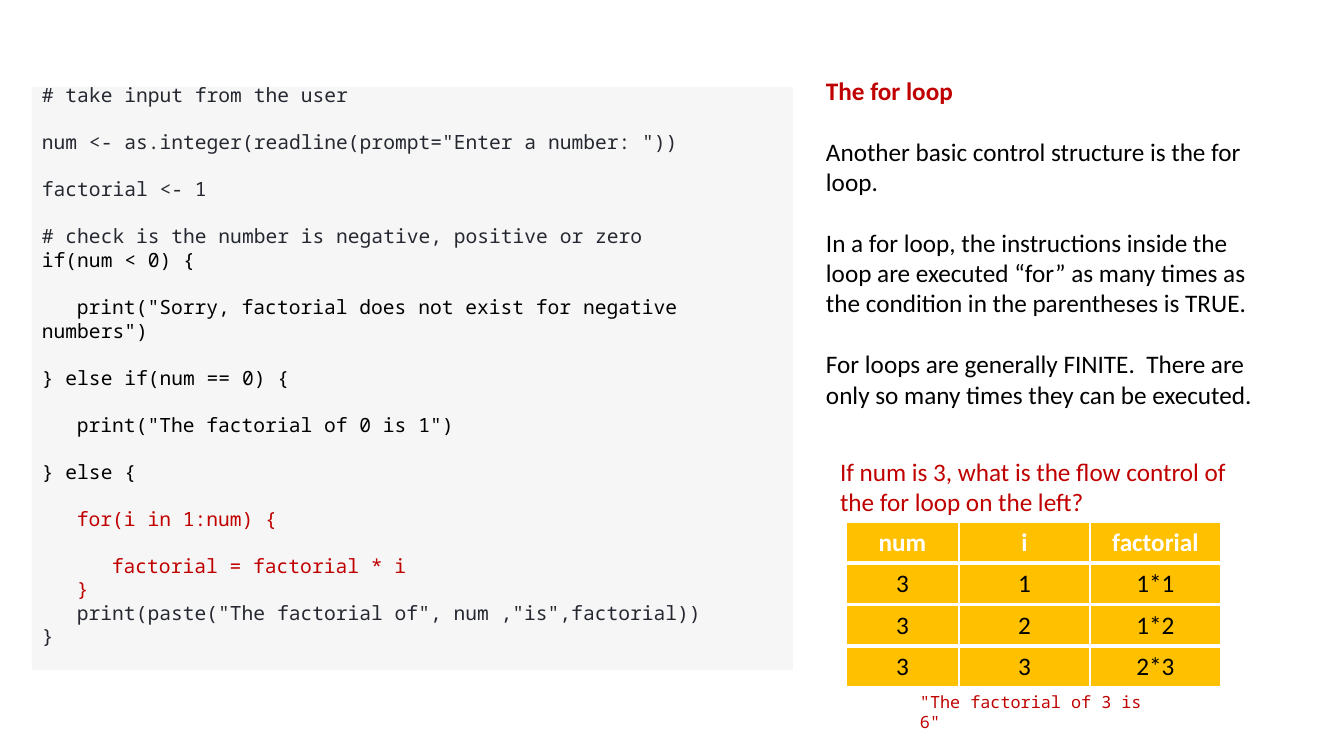
from lxml import etree
from pptx import Presentation
from pptx import util as u
from pptx.dml.color import RGBColor
from pptx.enum import shapes, text
from pptx.oxml.ns import qn

SCALE = 914400 / 100.8
SANS, MONO = "Calibri", "Noto Sans Mono"
RED, BLACK, INK, WHITE = "C00000", "000000", "252830", "FFFFFF"
GOLD, GREY = "FFC000", "F6F6F6"
INDENT = 35
CODE_GAP, PROSE_GAP = 16.8, 22

CODE = [
    ("# take input from the user", 0, INK, False),
    ('num <- as.integer(readline(prompt="Enter a number: "))', 0, INK, True),
    ("factorial <- 1", 0, INK, True),
    ("# check is the number is negative, positive or zero", 0, INK, True),
    ("if(num < 0) {", 0, BLACK, False),
    ('print("Sorry, factorial does not exist for negative numbers")', 1, BLACK, True),
    ("} else if(num == 0) {", 0, BLACK, True),
    ('print("The factorial of 0 is 1")', 1, BLACK, True),
    ("} else {", 0, BLACK, True),
    ("for(i in 1:num) {", 1, RED, True),
    ("factorial = factorial * i", 2, RED, True),
    ("}", 1, RED, False),
    ('print(paste("The factorial of", num ,"is",factorial))', 1, INK, False),
    ("}", 0, INK, False),
]
PROSE = [
    "Another basic control structure is the for loop.",
    "In a for loop, the instructions inside the loop are executed “for” as many "
    "times as the condition in the parentheses is TRUE.",
    "For loops are generally FINITE.  There are only so many times they can be executed.",
]


def px(length):
    return u.Emu(round(length * SCALE))


def colour(value):
    return RGBColor.from_string(value)


def write(frame, words, size=18, font=SANS, ink=BLACK, bold=False,
          align=text.PP_ALIGN.LEFT, before=0, indent=0):
    para = frame.paragraphs[0]
    if para.runs:
        para = frame.add_paragraph()
    para.alignment = align
    para.line_spacing = 1.0
    para.space_before = u.Pt(before)
    para.space_after = u.Pt(0)
    properties = para._p.get_or_add_pPr()
    properties.set("marL", "0")
    properties.set("indent", str(px(indent)))
    etree.SubElement(properties, qn("a:buNone"))
    span = para.add_run()
    span.text = words
    span.font.size = u.Pt(size)
    span.font.name = font
    span.font.bold = bold
    span.font.color.rgb = colour(ink)


def prepare(box, anchor=text.MSO_ANCHOR.TOP, bottom=5):
    frame = box.text_frame
    frame.word_wrap = True
    frame.auto_size = text.MSO_AUTO_SIZE.NONE
    frame.vertical_anchor = anchor
    frame.margin_left = frame.margin_right = px(10)
    frame.margin_top, frame.margin_bottom = px(5), px(bottom)
    return frame


def place(holder, left, top, width, height):
    holder.left, holder.top = px(left), px(top)
    holder.width, holder.height = px(width), px(height)
    return prepare(holder)


def add_label(page, left, top, width, height, words, **style):
    box = page.shapes.add_textbox(px(left), px(top), px(width), px(height))
    write(prepare(box), words, **style)


def add_code(page, left, top, width, height):
    panel = page.shapes.add_shape(shapes.MSO_SHAPE.RECTANGLE,
                                  px(left), px(top), px(width), px(height))
    panel.shadow.inherit = False
    panel.fill.solid()
    panel.fill.fore_color.rgb = colour(GREY)
    panel.line.fill.background()
    frame = prepare(panel, anchor=text.MSO_ANCHOR.MIDDLE, bottom=31)
    for words, level, ink, gap in CODE:
        write(frame, words, size=14, font=MONO, ink=ink,
              before=CODE_GAP if gap else 0, indent=level * INDENT)


def add_borders(cell, **widths):
    properties = cell._tc.get_or_add_tcPr()
    for position, side in enumerate("LRTB"):
        line = etree.Element(qn("a:ln" + side), w=str(u.Pt(widths.get(side, 1))))
        fill = etree.SubElement(line, qn("a:solidFill"))
        etree.SubElement(fill, qn("a:srgbClr"), val=WHITE)
        properties.insert(position, line)


def add_steps(page, left, top, rows, header=False):
    widths, height = (113, 131, 131), 41
    table = page.shapes.add_table(len(rows), len(widths), px(left), px(top),
                                  px(sum(widths)), px(height * len(rows))).table
    table.first_row = header
    table.horz_banding = False
    for column, width in zip(table.columns, widths):
        column.width = px(width)
    for index, values in enumerate(rows):
        table.rows[index].height = px(height)
        heading = header and index == 0
        for cell, value in zip(table.rows[index].cells, values):
            cell.fill.solid()
            cell.fill.fore_color.rgb = colour(GOLD)
            add_borders(cell, **({"B": 3} if index == 0 else {"T": 3}))
            write(cell.text_frame, value, ink=WHITE if heading else BLACK,
                  bold=heading, align=text.PP_ALIGN.CENTER)


def main():
    deck = Presentation()
    deck.slide_width, deck.slide_height = px(1344), px(756)
    page = deck.slides.add_slide(deck.slide_layouts[1])
    title, body = page.placeholders
    write(place(title, 816, 70, 453, 40), "The for loop", ink=RED, bold=True)
    frame = place(body, 816, 131, 453, 285)
    for index, words in enumerate(PROSE):
        write(frame, words, before=PROSE_GAP if index else 0)
    add_code(page, 32, 87, 761, 583)
    add_label(page, 830, 451, 438, 71,
              "If num is 3, what is the flow control of the for loop on the left?", ink=RED)
    add_steps(page, 846, 522, [("num", "i", "factorial"), ("3", "1", "1*1")], header=True)
    add_steps(page, 846, 605, [("3", "2", "1*2"), ("3", "3", "2*3")])
    add_label(page, 910, 687, 264, 30, '"The factorial of 3 is 6"',
              size=12, font=MONO, ink=RED)
    deck.save("out.pptx")


main()
